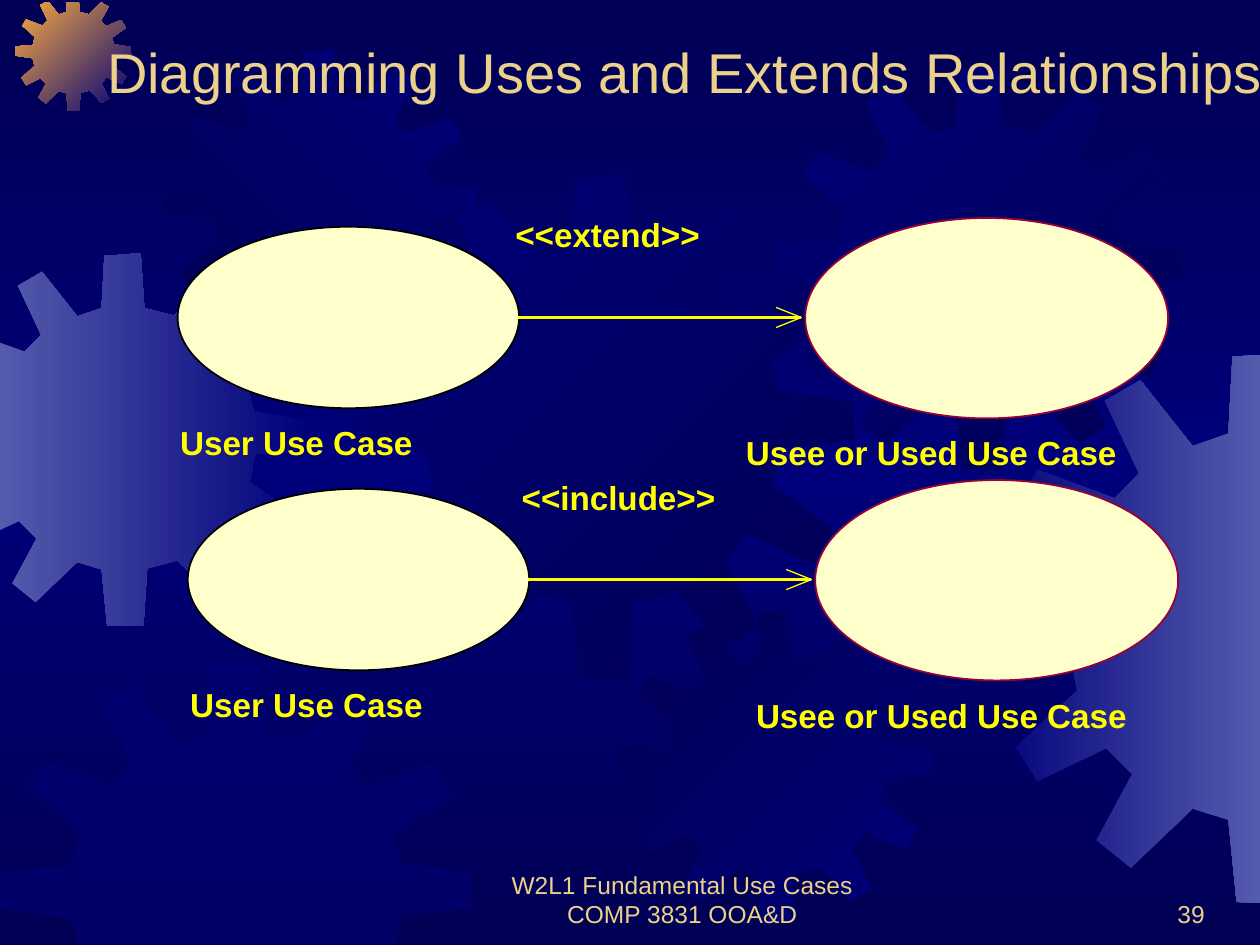
import copy
import pptx
import pptx.dml.color
import pptx.enum.shapes
import pptx.enum.text
import pptx.oxml
import pptx.oxml.ns
import pptx.util
from pptx.util import Inches

SHAPE = pptx.enum.shapes.MSO_SHAPE
ALIGN = pptx.enum.text.PP_ALIGN
ANCHOR = pptx.enum.text.MSO_ANCHOR

# Content
TITLE = "Diagramming Uses and Extends Relationships"
FOOTER = "W2L1 Fundamental Use Cases\nCOMP 3831 OOA&D"
NUMBER = "39"
# relation, its left edge, offset of the whole row
ROWS = [("<<extend>>", 4.09, 0, 0), ("<<include>>", 4.06, 0.08, 2.08)]
# name, name position and width, ellipse box, outline
CASES = [
    ("User Use Case", (1.43, 3.39, 2.6), (1.41, 1.8, 2.71, 1.44), "000000"),
    ("Usee or Used Use Case", (5.92, 3.47, 3.69), (6.39, 1.73, 2.88, 1.59), "990033"),
]
SAND, YELLOW, CREAM = "EBD189", "FFFF00", "FFFFCC"
NAVY, BLUE, PALE, ORANGE = "000054", "00007A", "555BAD", "FCAB40"

# One gear outline on a 401-unit square, placed at many sizes
GEAR_UNITS = 401
GEAR = [
    (255, 67), (223, 59), (219, 0), (180, 3), (177, 59), (151, 68), (113, 20), (87, 35),
    (112, 88), (94, 106), (38, 85), (25, 107), (68, 145), (61, 174), (1, 178), (0, 210),
    (61, 219), (67, 246), (22, 287), (38, 312), (88, 288), (107, 307), (81, 355), (106, 375),
    (151, 332), (177, 340), (183, 400), (222, 401), (226, 339), (259, 330), (299, 374),
    (325, 358), (299, 306), (316, 284), (368, 309), (384, 281), (336, 246), (342, 216),
    (401, 210), (400, 180), (341, 171), (335, 148), (383, 114), (367, 87), (313, 109),
    (296, 91), (323, 41), (297, 25),
]
# left, top, size, colours, clockwise gradient angle
GEARS = [
    (-0.5, 2.01, 2.96, (PALE, BLUE), 0),
    (0.12, -0.04, 0.92, (ORANGE, BLUE), 45),
    (1.3, 0.39, 2.48, (NAVY, BLUE), 315),
    (2.77, 1.39, 4.01, (BLUE, NAVY), 45),
    (0, 5.25, 3.74, (BLUE,), 0),
    (4.91, 4.84, 2.48, (NAVY, BLUE), 45),
    (6.18, 0.53, 3.2, (BLUE, NAVY), 45),
    (7.82, 2.8, 4.37, (BLUE, PALE), 0),
]
# axis, limit, side to keep
EDGES = [(0, -0.01, 1), (0, 10.01, -1), (1, 0.02, 1), (1, 7.54, -1)]


def rgb(h):
    return pptx.dml.color.RGBColor.from_string(h)


def clip(points, axis, limit, side):
    """Keep the part of a polygon on one side of a limit."""
    kept = []
    for a, b in zip(points, points[1:] + points[:1]):
        a_in, b_in = (side * (q[axis] - limit) >= 0 for q in (a, b))
        if a_in:
            kept.append(a)
        if a_in != b_in:
            t = (limit - a[axis]) / (b[axis] - a[axis])
            kept.append(tuple(m + t * (n - m) for m, n in zip(a, b)))
    return kept


def gradient(fill, colours, angle):
    fill.gradient()
    fill.gradient_angle = -angle % 360
    for stop, colour, at in zip(fill.gradient_stops, colours, (0, 1)):
        stop.color.rgb = rgb(colour)
        stop.position = at


def freeform(s, points, close):
    pts = [(Inches(x), Inches(y)) for x, y in points]
    fb = s.shapes.build_freeform(*pts[0], scale=1.0)
    fb.add_line_segments(pts[1:], close=close)
    sp = fb.convert_to_shape()
    sp.shadow.inherit = False
    return sp


def add_gear(s, left, top, size, colours, angle):
    points = [(left + x * size / GEAR_UNITS, top + y * size / GEAR_UNITS) for x, y in GEAR]
    for edge in EDGES:
        points = clip(points, *edge)
    sp = freeform(s, points, True)
    sp.line.fill.background()
    if len(colours) == 2:
        gradient(sp.fill, colours, angle)
    else:
        sp.fill.solid()
        sp.fill.fore_color.rgb = rgb(colours[0])
        clr = sp._element.spPr.xpath("./a:solidFill/a:srgbClr")[0]
        alpha = pptx.oxml.parse_xml("<a:alpha %s val='50000'/>" % pptx.oxml.ns.nsdecls("a"))
        clr.append(alpha)


def write(sp, text, size, colour, bold=False, align=ALIGN.LEFT, anchor=ANCHOR.BOTTOM, spacing=1.0):
    tf = sp.text_frame
    tf.text = text
    tf.word_wrap = True
    tf.vertical_anchor = anchor
    for p in tf.paragraphs:
        p.alignment = align
        p.line_spacing = spacing
        for r in p.runs:
            r.font.name, r.font.size, r.font.bold = "Arial", pptx.util.Pt(size), bold
            r.font.color.rgb = rgb(colour)


def add_text(s, box, *args, **kw):
    sp = s.shapes.add_textbox(*map(Inches, box))
    write(sp, *args, **kw)
    return sp


def add_label(s, x, y, w, text):
    sp = add_text(s, (x, y, w, 0.29), text, 19, YELLOW, bold=True, anchor=ANCHOR.TOP, spacing=0.9)
    tf = sp.text_frame
    tf.margin_left = tf.margin_right = tf.margin_top = tf.margin_bottom = 0


def add_arrow(s, x1, x2, y):
    head = freeform(s, [(x2 - 0.2, y - 0.08), (x2, y), (x2 - 0.2, y + 0.08)], False)
    head.fill.background()
    shaft = s.shapes.add_connector(
        pptx.enum.shapes.MSO_CONNECTOR.STRAIGHT, Inches(x1), Inches(y), Inches(x2), Inches(y))
    for part in (head, shaft):
        part.line.color.rgb = rgb(YELLOW)
        part.line.width = 0
    shaft._element.spPr.append(pptx.oxml.parse_xml("<a:effectLst %s/>" % pptx.oxml.ns.nsdecls("a")))


prs = pptx.Presentation()
prs.slide_width, prs.slide_height = Inches(10), Inches(7.5)
s = prs.slides.add_slide(prs.slide_layouts[5])

# Background: dark edges, lighter middle
gradient(s.background.fill, (NAVY, BLUE), 90)
first, middle = s._element.xpath("./p:cSld/p:bg//a:gs")
last = copy.deepcopy(first)
middle.set("pos", "50000")
last.set("pos", "100000")
middle.addnext(last)

for gear in GEARS:
    add_gear(s, *gear)

# Footer and slide number
add_text(s, (3.83, 6.92, 3.17, 0.5), FOOTER, 14, SAND, align=ALIGN.CENTER)
add_text(s, (7.58, 6.92, 2.08, 0.5), NUMBER, 14, SAND, align=ALIGN.RIGHT)

# Title, in front of the gears
title = s.shapes.title
title.left, title.top, title.width, title.height = map(Inches, (0.75, 0.25, 9.5, 0.63))
write(title, TITLE, 32, SAND)
title.text_frame.auto_size = pptx.enum.text.MSO_AUTO_SIZE.NONE
s.shapes._spTree.append(title._element)

# Use case rows
for relation, left, dx, dy in ROWS:
    for name, (nx, ny, nw), (x, y, w, h), outline in CASES:
        sp = s.shapes.add_shape(SHAPE.OVAL, *map(Inches, (x + dx, y + dy, w, h)))
        sp.shadow.inherit = False
        sp.fill.solid()
        sp.fill.fore_color.rgb = rgb(CREAM)
        sp.line.color.rgb = rgb(outline)
        sp.line.width = pptx.util.Pt(1)
        add_label(s, nx + dx, ny + dy, nw, name)
    add_arrow(s, 4.11 + dx, 6.36 + dx, 2.52 + dy)
    add_label(s, left + dx, 1.74 + dy, 2.25, relation)

prs.save("out.pptx")
